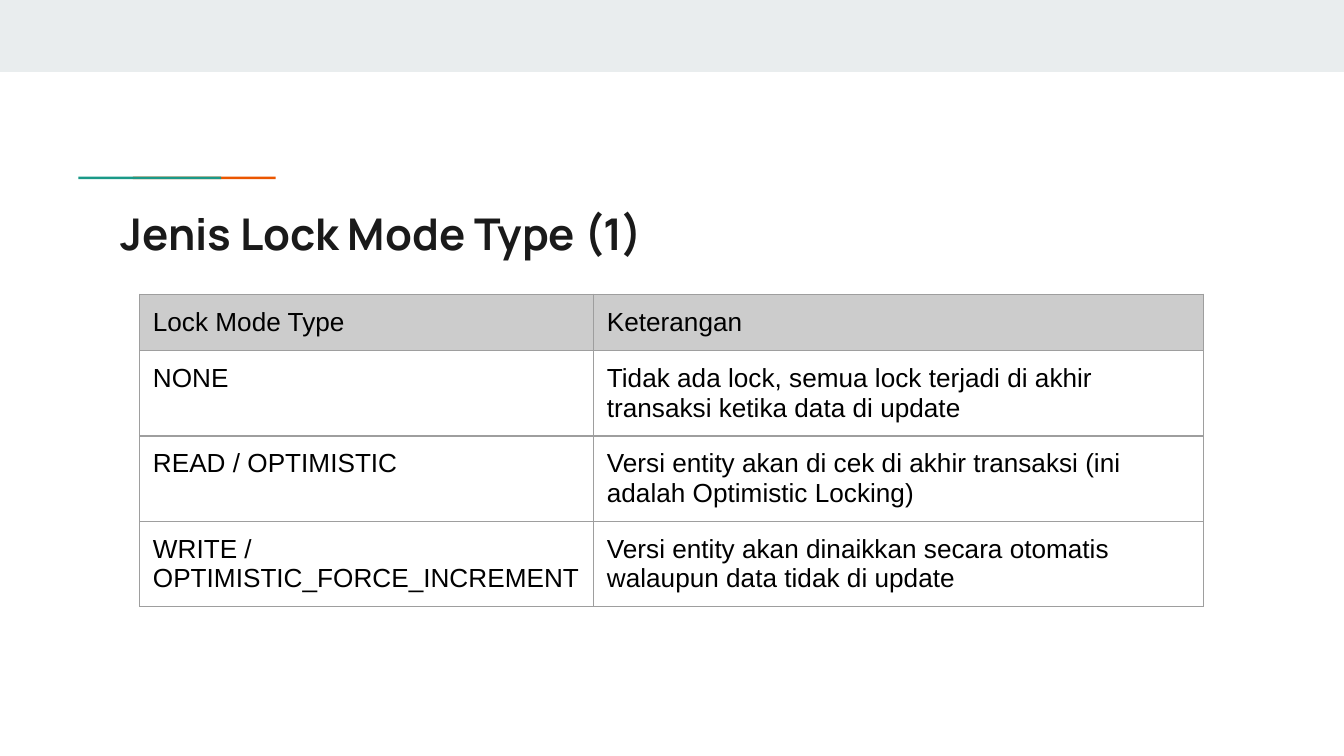
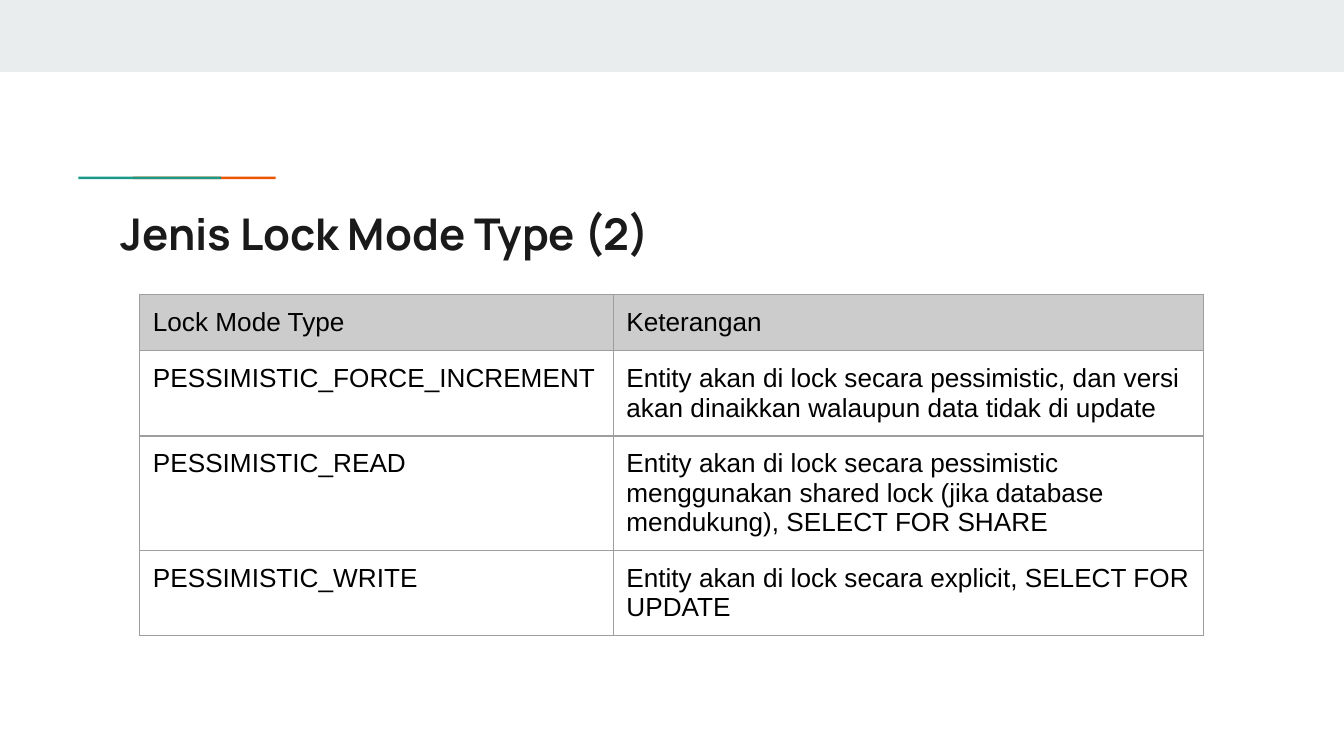
from lxml import etree
from pptx import Presentation, util as u
from pptx.dml.color import RGBColor
from pptx.enum import shapes, text
from pptx.oxml.ns import qn

COLORS = {
    "band": "E9EDEE",
    "teal": "1A9988",
    "orange": "EB5600",
    "title": "1A1A1A",
    "text": "000000",
    "header": "CCCCCC",
    "border": "9E9E9E",
}
MARGIN = u.Cm(0.25)
ROW_HEIGHT = 1.07

# Shared bars: left, top, width, height in cm, and colour; teal overlaps orange
BARS = [
    (0, 0, 25.4, 1.36, "band"),
    (2.51, 3.34, 2.7, 0.05, "orange"),
    (1.48, 3.34, 2.7, 0.05, "teal"),
]

HEADER = ("Lock Mode Type", "Keterangan")
PAGES = [
    ("Jenis Lock Mode Type (1)", (8.58, 11.53), [
        ("NONE",
         "Tidak ada lock, semua lock terjadi di akhir transaksi ketika data di update"),
        ("READ / OPTIMISTIC",
         "Versi entity akan di cek di akhir transaksi (ini adalah Optimistic Locking)"),
        ("WRITE / OPTIMISTIC_FORCE_INCREMENT",
         "Versi entity akan dinaikkan secara otomatis walaupun data tidak di update"),
    ]),
    ("Jenis Lock Mode Type (2)", (8.95, 11.16), [
        ("PESSIMISTIC_FORCE_INCREMENT",
         "Entity akan di lock secara pessimistic, dan versi akan dinaikkan "
         "walaupun data tidak di update"),
        ("PESSIMISTIC_READ",
         "Entity akan di lock secara pessimistic menggunakan shared lock "
         "(jika database mendukung), SELECT FOR SHARE"),
        ("PESSIMISTIC_WRITE",
         "Entity akan di lock secara explicit, SELECT FOR UPDATE"),
    ]),
]


def write(box, words, font="Arial", size=14, color="text", bold=False):
    """Fill a title or a table cell with one left-aligned paragraph."""
    box.margin_left = box.margin_right = MARGIN
    box.margin_top = box.margin_bottom = MARGIN
    box.vertical_anchor = text.MSO_ANCHOR.TOP
    frame = getattr(box, "text_frame", box)
    para = frame.paragraphs[0]
    para.alignment = text.PP_ALIGN.LEFT
    span = para.add_run()
    span.text = words
    span.font.name = font
    span.font.size = u.Pt(size)
    span.font.bold = bold
    span.font.color.rgb = RGBColor.from_string(COLORS[color])


def add_borders(cell):
    """Draw a thin line on all four sides of a table cell."""
    properties = cell._tc.get_or_add_tcPr()
    for side in ("a:lnL", "a:lnR", "a:lnT", "a:lnB"):
        line = etree.SubElement(properties, qn(side), w=str(u.Pt(0.75)))
        fill = etree.SubElement(line, qn("a:solidFill"))
        etree.SubElement(fill, qn("a:srgbClr"), val=COLORS["border"])


deck = Presentation()
deck.slide_width = u.Cm(25.4)
deck.slide_height = u.Cm(14.29)

for heading, widths, entries in PAGES:
    page = deck.slides.add_slide(deck.slide_layouts[5])

    # Top band and accent line
    for left, top, width, height, color in BARS:
        bar = page.shapes.add_shape(shapes.MSO_SHAPE.RECTANGLE, u.Cm(left),
                                    u.Cm(top), u.Cm(width), u.Cm(height))
        bar.shadow.inherit = False
        bar.fill.solid()
        bar.fill.fore_color.rgb = RGBColor.from_string(COLORS[color])
        bar.line.fill.background()

    # Title
    title = page.shapes.title
    title.left, title.top = u.Cm(2.03), u.Cm(3.66)
    title.width, title.height = u.Cm(21.36), u.Cm(1.5)
    title.text_frame.auto_size = text.MSO_AUTO_SIZE.NONE
    title.text_frame.word_wrap = True
    write(title.text_frame, heading, font="Manrope", size=23.4,
          color="title", bold=True)

    # Table of lock modes
    rows = [HEADER, *entries]
    table = page.shapes.add_table(
        len(rows), len(widths), u.Cm(2.64), u.Cm(5.56),
        u.Cm(sum(widths)), u.Cm(ROW_HEIGHT * len(rows))).table
    table.first_row = table.horz_banding = False
    for column, width in zip(table.columns, widths):
        column.width = u.Cm(width)
    for r, row in enumerate(rows):
        table.rows[r].height = u.Cm(ROW_HEIGHT)
        for c, words in enumerate(row):
            cell = table.cell(r, c)
            write(cell, words)
            add_borders(cell)
            if r == 0:
                cell.fill.solid()
                cell.fill.fore_color.rgb = RGBColor.from_string(COLORS["header"])
            else:
                cell.fill.background()

deck.save("out.pptx")
